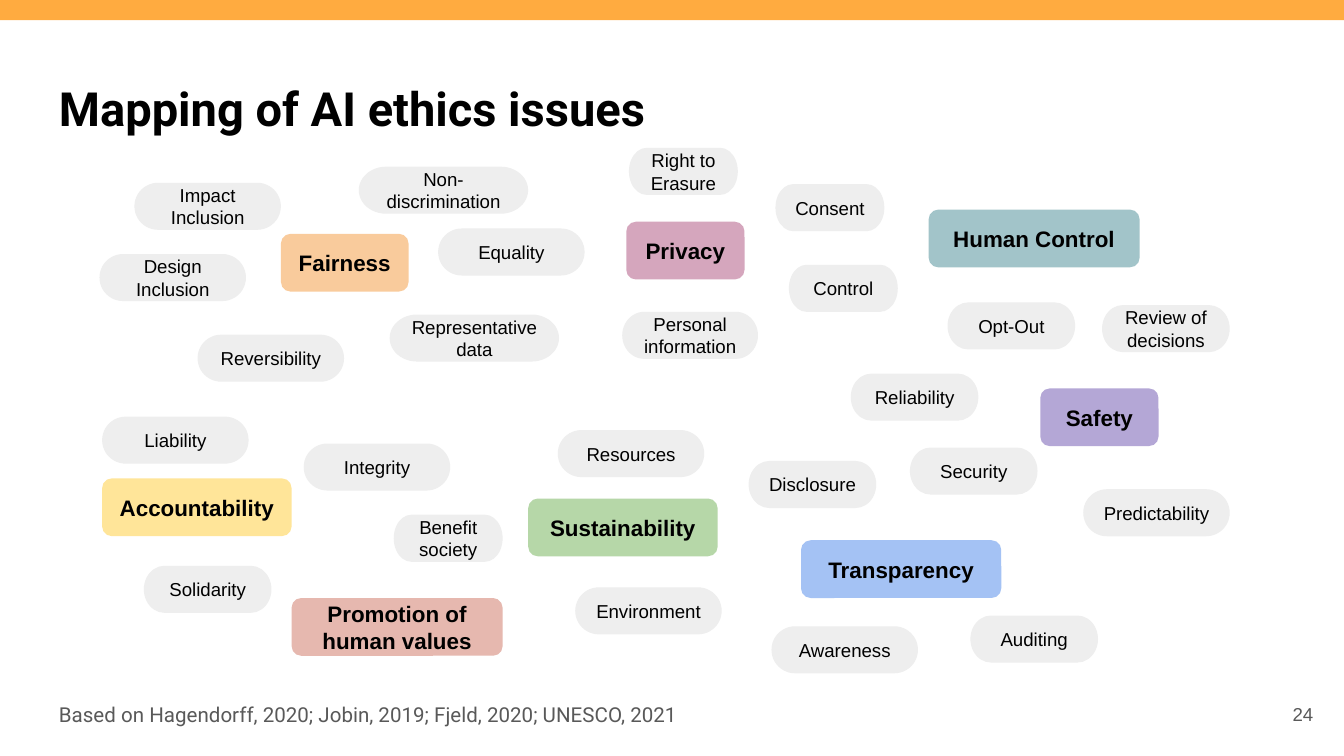
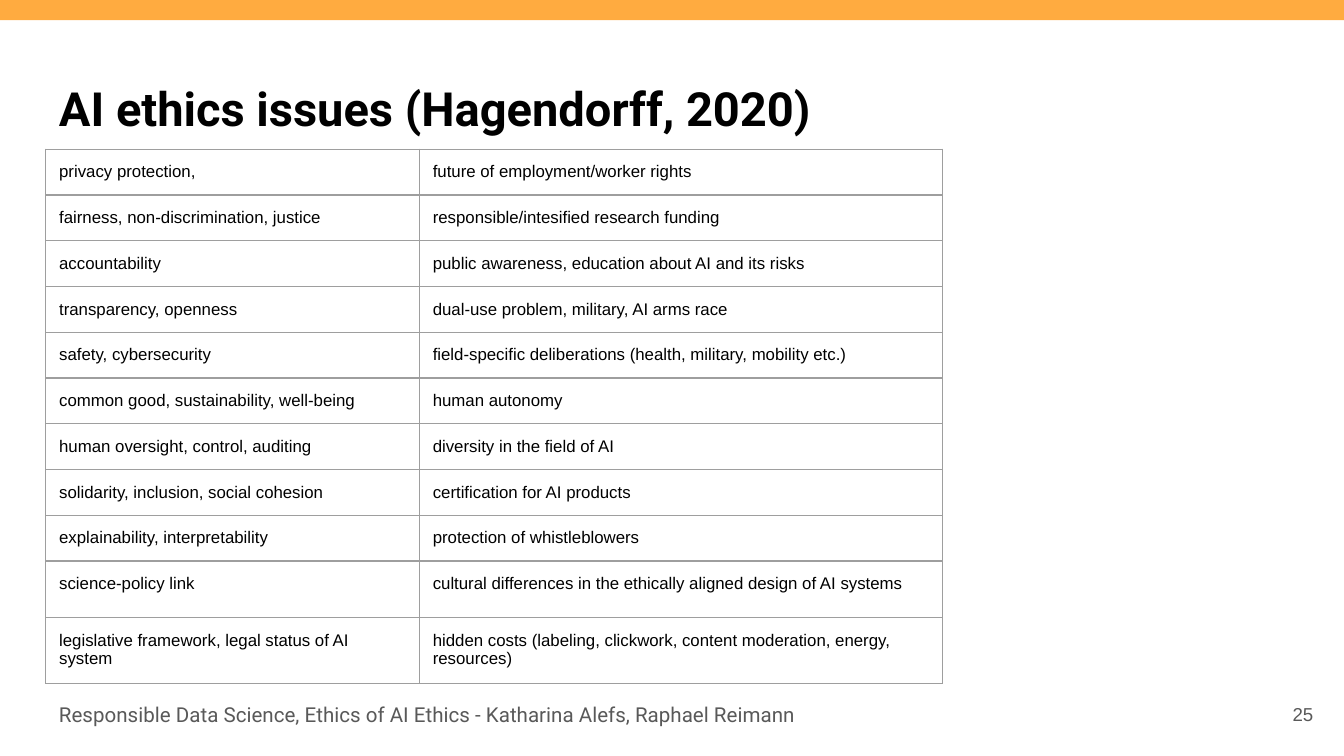
import pptx
import pptx.dml.color
import pptx.enum.shapes
import pptx.enum.text
import pptx.oxml
import pptx.util
from pptx.util import Inches

ORANGE, BLACK, GREY, PALE, LINE = "FFAB40", "000000", "595959", "EEEEEE", "9E9E9E"
KIND = pptx.enum.shapes.MSO_SHAPE
ALIGN = pptx.enum.text.PP_ALIGN
MIDDLE = pptx.enum.text.MSO_ANCHOR.MIDDLE
NS = "http://schemas.openxmlformats.org/drawingml/2006/main"


def rgb(code):
    return pptx.dml.color.RGBColor.from_string(code)


def write(box, text, size, color=BLACK, face="Arial", bold=False, align=ALIGN.LEFT):
    """Put one paragraph into a shape or cell, with 0.1 inch margins."""
    frame = box.text_frame
    frame.word_wrap = True
    # Cells hold their margins themselves, shapes hold them in the frame.
    owner = frame if hasattr(box, "shape_type") else box
    for side in ("left", "right", "top", "bottom"):
        setattr(owner, "margin_" + side, Inches(0.1))
    para = frame.paragraphs[0]
    para.alignment = align
    run = para.add_run()
    run.text = text
    run.font.size = pptx.util.Pt(size)
    run.font.name = face
    run.font.bold = bold
    run.font.color.rgb = rgb(color)
    return para


deck = pptx.Presentation()
deck.slide_width = Inches(10)
deck.slide_height = deck.slide_width * 9 // 16

# Frame of each slide: band, title, footer, number
heads = [
    ("Mapping of AI ethics issues",
     "Based on Hagendorff, 2020; Jobin, 2019; Fjeld, 2020; UNESCO, 2021"),
    ("AI ethics issues (Hagendorff, 2020)",
     "Responsible Data Science, Ethics of AI Ethics - Katharina Alefs, Raphael Reimann"),
]
slides = []
for number, (title, footer) in enumerate(heads, 24):
    slide = deck.slides.add_slide(deck.slide_layouts[6])
    slides.append(slide)
    band = slide.shapes.add_shape(
        KIND.RECTANGLE, Inches(-0.02), Inches(-0.02), Inches(10.11), Inches(0.17))
    band.shadow.inherit = False
    band.fill.solid()
    band.fill.fore_color.rgb = rgb(ORANGE)
    band.line.fill.background()

    box = slide.shapes.add_textbox(Inches(0.34), Inches(0.49), Inches(9.32), Inches(0.63))
    write(box, title, 25.2, face="Roboto", bold=True)
    box = slide.shapes.add_textbox(Inches(0.34), Inches(5.1), Inches(8.47), Inches(0.43))
    write(box, footer, 11, GREY, "Roboto").line_spacing = 1.15
    box = slide.shapes.add_textbox(Inches(9.27), Inches(5.1), Inches(0.6), Inches(0.43))
    write(box, str(number), 10, GREY, align=ALIGN.RIGHT)
    box.text_frame.vertical_anchor = MIDDLE

# Map: coloured themes and the grey issues around them
themes = [
    ("Privacy", 4.66, 1.65, 0.88, "D5A6BD"),
    ("Fairness", 2.09, 1.74, 0.95, "F9CB9C"),
    ("Accountability", 0.76, 3.56, 1.41, "FFE599"),
    ("Transparency", 5.96, 4.02, 1.49, "A4C2F4"),
    ("Safety", 7.74, 2.89, 0.88, "B4A7D6"),
    ("Human Control", 6.91, 1.56, 1.57, "A2C4C9"),
    ("Promotion of human values", 2.17, 4.45, 1.57, "E6B8AF"),
    ("Sustainability", 3.93, 3.71, 1.41, "B6D7A8"),
]
issues = [
    ("Consent", 5.77, 1.37, 0.81),
    ("Control", 5.87, 1.97, 0.81),
    ("Right to Erasure", 4.68, 1.1, 0.81),
    ("Non-discrimination", 2.67, 1.24, 1.26),
    ("Equality", 3.26, 1.7, 1.09),
    ("Benefit society", 2.93, 3.83, 0.81),
    ("Resources", 4.15, 3.2, 1.09),
    ("Impact Inclusion", 1, 1.36, 1.09),
    ("Design Inclusion", 0.74, 1.89, 1.09),
    ("Representative data", 2.9, 2.34, 1.26),
    ("Review of decisions", 8.2, 2.27, 0.95),
    ("Opt-Out", 7.05, 2.25, 0.95),
    ("Reliability", 6.33, 2.78, 0.95),
    ("Security", 6.77, 3.33, 0.95),
    ("Predictability", 8.06, 3.64, 1.09),
    ("Disclosure", 5.57, 3.43, 0.95),
    ("Auditing", 7.22, 4.58, 0.95),
    ("Awareness", 5.74, 4.66, 1.09),
    ("Environment", 4.28, 4.37, 1.09),
    ("Liability", 0.76, 3.1, 1.09),
    ("Integrity", 2.26, 3.3, 1.09),
    ("Personal information", 4.63, 2.32, 1.01),
    ("Reversibility", 1.47, 2.49, 1.09),
    ("Solidarity", 1.07, 4.21, 0.95),
]
labels = [(KIND.ROUNDED_RECTANGLE, 0.43, 12, True, *theme) for theme in themes]
labels += [(KIND.FLOWCHART_TERMINATOR, 0.35, 10, False, *issue, PALE) for issue in issues]
for kind, high, size, bold, text, left, top, wide, color in labels:
    label = slides[0].shapes.add_shape(
        kind, Inches(left), Inches(top), Inches(wide), Inches(high))
    label.shadow.inherit = False
    label.fill.solid()
    label.fill.fore_color.rgb = rgb(color)
    label.line.fill.background()
    write(label, text, size, bold=bold, align=ALIGN.CENTER)
    label.text_frame.vertical_anchor = MIDDLE

# Table of issues
rows = [
    ("privacy protection,", "future of employment/worker rights"),
    ("fairness, non-discrimination, justice", "responsible/intesified research funding"),
    ("accountability", "public awareness, education about AI and its risks"),
    ("transparency, openness", "dual-use problem, military, AI arms race"),
    ("safety, cybersecurity", "field-specific deliberations (health, military, mobility etc.)"),
    ("common good, sustainability, well-being", "human autonomy"),
    ("human oversight, control, auditing", "diversity in the field of AI"),
    ("solidarity, inclusion, social cohesion", "certification for AI products"),
    ("explainability, interpretability", "protection of whistleblowers"),
    ("science-policy link", "cultural differences in the ethically aligned design of AI systems"),
    ("legislative framework, legal status of AI system",
     "hidden costs (labeling, clickwork, content moderation, energy, resources)"),
]
highs = [0.31] * 9 + [0.42, 0.44]
table = slides[1].shapes.add_table(
    len(rows), 2, Inches(0.34), Inches(1.11), Inches(6.67), Inches(sum(highs))).table
table.first_row = table.horz_banding = False
table.columns[0].width, table.columns[1].width = Inches(2.78), Inches(3.89)
for r, (texts, high) in enumerate(zip(rows, highs)):
    table.rows[r].height = Inches(high)
    for c, text in enumerate(texts):
        cell = table.cell(r, c)
        write(cell, text, 9)
        cell.margin_bottom = Inches(0.09)
        props = cell._tc.get_or_add_tcPr()
        for edge in ("lnL", "lnR", "lnT", "lnB"):
            props.append(pptx.oxml.parse_xml(
                f'<a:{edge} xmlns:a="{NS}" w="9525"><a:solidFill>'
                f'<a:srgbClr val="{LINE}"/></a:solidFill></a:{edge}>'))
        cell.fill.background()

deck.save("out.pptx")
